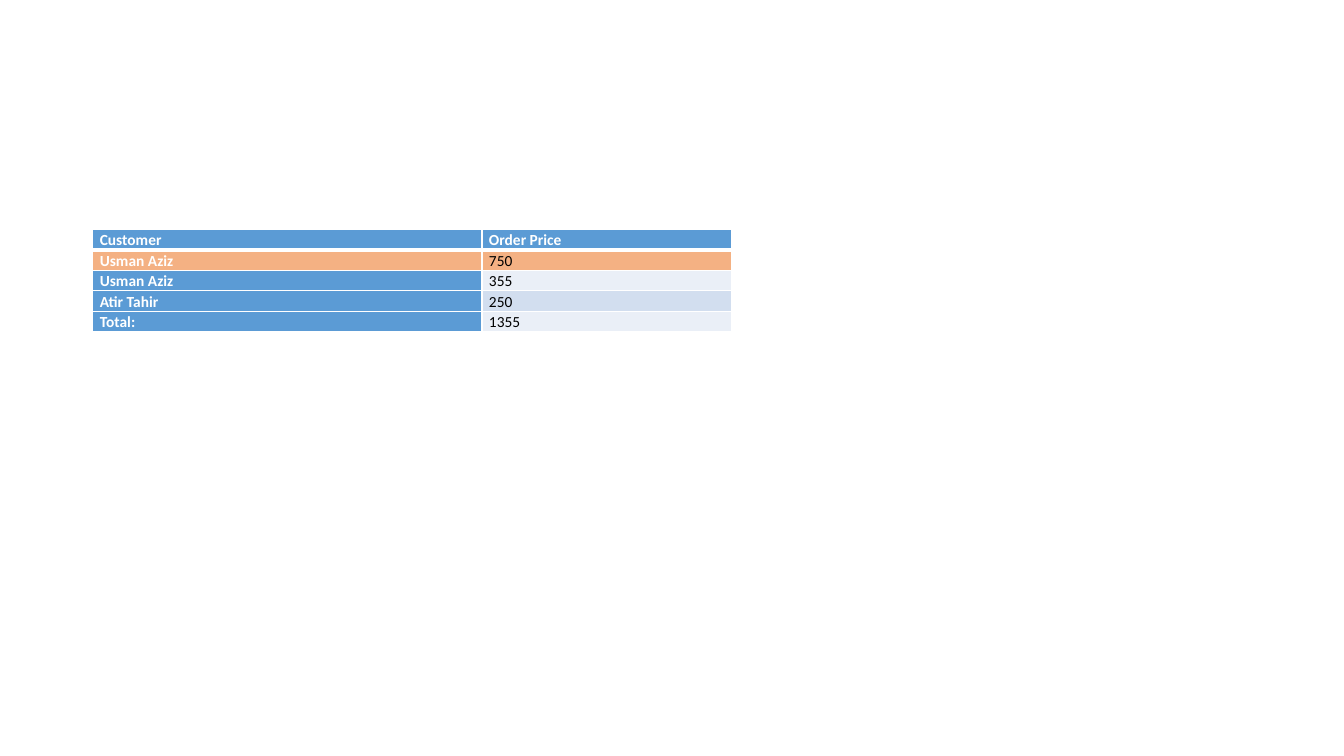
from lxml.etree import SubElement
from pptx import Presentation
from pptx.dml.color import RGBColor
from pptx.oxml.ns import qn
from pptx.util import Inches, Pt

# Content
ROWS = [
    ("Customer", "Order Price"),
    ("Usman Aziz", "750"),
    ("Usman Aziz", "355"),
    ("Atir Tahir", "250"),
    ("Total:", "1355"),
]
HIGHLIGHT_ROW = 1

# Layout, in inches
LEFT, TOP = 0.92, 2.28
COL_WIDTHS = (3.86, 2.48)
ROW_HEIGHT = 0.2
CELL_INSET = 0.07

# Colours
WHITE = RGBColor(0xFF, 0xFF, 0xFF)
BLACK = RGBColor(0x00, 0x00, 0x00)
BLUE = RGBColor(0x5B, 0x9B, 0xD5)
ORANGE = RGBColor(0xF4, 0xB1, 0x83)
BANDS = (RGBColor(0xEA, 0xEF, 0xF7), RGBColor(0xD2, 0xDE, 0xEF))


def set_text(cell, text, size=11, color=BLACK, bold=False):
    cell.margin_left = cell.margin_right = Inches(CELL_INSET)
    cell.margin_top = cell.margin_bottom = 0
    p = cell.text_frame.paragraphs[0]
    p.line_spacing = 1.07
    r = p.add_run()
    r.text = text
    r.font.name = "Calibri"
    r.font.size = Pt(size)
    r.font.bold = bold
    r.font.color.rgb = color


def set_borders(cell, color=WHITE, top=1, bottom=1):
    tc_pr = cell._tc.get_or_add_tcPr()
    widths = {"a:lnL": 1, "a:lnR": 1, "a:lnT": top, "a:lnB": bottom}
    for tag, width in widths.items():
        ln = SubElement(tc_pr, qn(tag), w=str(Pt(width)))
        fill = SubElement(ln, qn("a:solidFill"))
        SubElement(fill, qn("a:srgbClr"), val=str(color))


def cell_fill(row, col):
    if row == HIGHLIGHT_ROW:
        return ORANGE
    if row == 0 or col == 0:
        return BLUE
    return BANDS[row % 2]


prs = Presentation()
prs.slide_width, prs.slide_height = Inches(13.33), Inches(7.5)
slide = prs.slides.add_slide(prs.slide_layouts[6])

# Order table
table = slide.shapes.add_table(
    len(ROWS), len(COL_WIDTHS), Inches(LEFT), Inches(TOP),
    Inches(sum(COL_WIDTHS)), Inches(ROW_HEIGHT * len(ROWS))).table
table.first_col = True
table.horz_banding = True
for column, width in zip(table.columns, COL_WIDTHS):
    column.width = Inches(width)

for i, values in enumerate(ROWS):
    table.rows[i].height = Inches(ROW_HEIGHT)
    for j, value in enumerate(values):
        cell = table.cell(i, j)
        heading = i == 0 or j == 0
        set_text(cell, value, color=WHITE if heading else BLACK, bold=heading)
        # The header is ruled off by a thicker line
        set_borders(cell, top=3 if i == 1 else 1, bottom=3 if i == 0 else 1)
        cell.fill.solid()
        cell.fill.fore_color.rgb = cell_fill(i, j)

prs.save("out.pptx")
